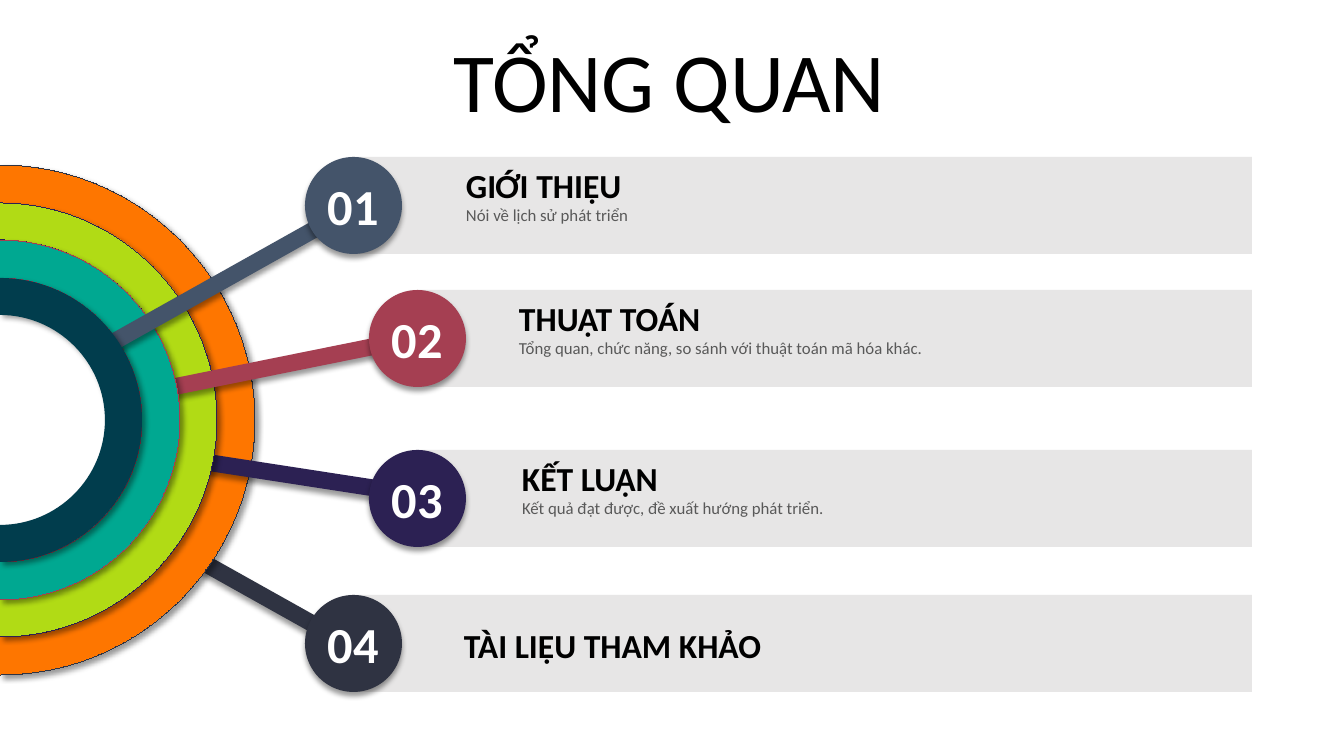
from dataclasses import dataclass
from typing import Optional

from lxml import etree
from pptx import Presentation
from pptx.dml.color import RGBColor
from pptx.enum.shapes import MSO_CONNECTOR, MSO_SHAPE
from pptx.enum.text import MSO_ANCHOR, MSO_AUTO_SIZE, PP_ALIGN
from pptx.oxml.ns import qn
from pptx.util import Emu, Pt

RECT, OVAL = MSO_SHAPE.RECTANGLE, MSO_SHAPE.OVAL
STRAIGHT = MSO_CONNECTOR.STRAIGHT
TOP, MIDDLE, BOTTOM = MSO_ANCHOR.TOP, MSO_ANCHOR.MIDDLE, MSO_ANCHOR.BOTTOM
LEFT, CENTER, JUSTIFY = PP_ALIGN.LEFT, PP_ALIGN.CENTER, PP_ALIGN.JUSTIFY
FIT_NONE, FIT_SHAPE = MSO_AUTO_SIZE.NONE, MSO_AUTO_SIZE.SHAPE_TO_FIT_TEXT

BLACK = RGBColor(0x00, 0x00, 0x00)
WHITE = RGBColor(0xFF, 0xFF, 0xFF)
GRAY_TEXT = RGBColor(0x59, 0x59, 0x59)
GRAY_BAR = RGBColor(0xE7, 0xE6, 0xE6)
SLATE = RGBColor(0x44, 0x54, 0x6A)
ROSE = RGBColor(0xA5, 0x3F, 0x52)
INDIGO = RGBColor(0x2C, 0x21, 0x53)
CHARCOAL = RGBColor(0x2F, 0x33, 0x42)
NAVY = RGBColor(0x01, 0x3D, 0x4D)
TEAL = RGBColor(0x00, 0xA8, 0x91)
LIME = RGBColor(0xB1, 0xDB, 0x15)
ORANGE = RGBColor(0xFE, 0x76, 0x00)

FONT = "Calibri"
SLIDE_W, SLIDE_H = 1344, 756
EMU_PER_PX = 12192000 / SLIDE_W
BAR_H = 97
BAR_RIGHT = 1252
RING_CENTER_Y = 420
ARC_HANDLE = 0.55


@dataclass
class Topic:
    """One agenda entry with its badge, spoke and ring."""
    number: str
    heading: str
    detail: str
    top: int
    bar_x: int
    badge_x: int
    text_x: int
    heading_dy: int
    spoke: tuple[int, int, int, int]
    color: RGBColor
    ring_color: RGBColor
    ring_line: Optional[RGBColor]
    outer: int
    inner: int


TOPICS = [
    Topic("01", "GIỚI THIỆU", "Nói về lịch sử phát triển",
          157, 350, 305, 466, 3, (92, 354, 349, 210), SLATE, NAVY, None, 142, 105),
    Topic("02", "THUẬT TOÁN", "Tổng quan, chức năng, so sánh với thuật toán mã hóa khác.",
          290, 418, 369, 519, 3, (153, 391, 411, 339), ROSE, TEAL, ROSE, 180, 142),
    Topic("03", "KẾT LUẬN", "Kết quả đạt được, đề xuất hướng phát triển.",
          450, 418, 369, 522, 3, (179, 458, 413, 494), INDIGO, LIME, INDIGO, 217, 180),
    Topic("04", "TÀI LIỆU THAM KHẢO", "",
          595, 350, 305, 464, 25, (179, 549, 347, 643), CHARCOAL, ORANGE, CHARCOAL, 255, 217),
]


def px(value: float) -> Emu:
    """Turn pixels into EMU."""
    return Emu(round(value * EMU_PER_PX))


def add_shadow(shape, angle: int) -> None:
    """Give a finished shape or connector a soft outer shadow."""
    effects = etree.SubElement(shape.element.spPr, qn("a:effectLst"))
    shadow = etree.SubElement(effects, qn("a:outerShdw"), blurRad=str(Pt(4)),
                              dist=str(Pt(3)), dir=str(angle * 60000),
                              algn="t", rotWithShape="0")
    color = etree.SubElement(shadow, qn("a:srgbClr"), val=str(BLACK))
    etree.SubElement(color, qn("a:alpha"), val="40000")


def write(tf, text: str, *, size: int, color: RGBColor, bold: bool = False,
          align=LEFT, anchor=TOP, fit=FIT_NONE, inset: int = 0) -> None:
    """Fill a text frame with one formatted paragraph."""
    tf.word_wrap = True
    tf.auto_size = fit
    tf.vertical_anchor = anchor
    tf.margin_left = tf.margin_right = px(inset)
    tf.margin_top = tf.margin_bottom = px(5)
    p = tf.paragraphs[0]
    p.alignment = align
    r = p.add_run()
    r.text = text
    r.font.name = FONT
    r.font.size = Pt(size)
    r.font.bold = bold
    r.font.color.rgb = color


def add_text(s, x: int, y: int, w: int, h: int, text: str, **fmt) -> None:
    """Add a text box."""
    write(s.shapes.add_textbox(px(x), px(y), px(w), px(h)).text_frame, text, **fmt)


def add_bar(s, topic: Topic) -> None:
    """Add the gray bar behind a topic."""
    bar = s.shapes.add_shape(RECT, px(topic.bar_x), px(topic.top),
                             px(BAR_RIGHT - topic.bar_x), px(BAR_H))
    bar.shadow.inherit = False
    bar.fill.solid()
    bar.fill.fore_color.rgb = GRAY_BAR
    bar.line.fill.background()


def add_topic_text(s, topic: Topic) -> None:
    """Add the heading and the detail line of a topic."""
    add_text(s, topic.text_x, topic.top + topic.heading_dy, 659, 50, topic.heading,
             size=24, color=BLACK, bold=True, anchor=BOTTOM, fit=FIT_SHAPE)
    if topic.detail:
        add_text(s, topic.text_x, topic.top + 43, 657, 30, topic.detail,
                 size=12, color=GRAY_TEXT, align=JUSTIFY, fit=FIT_SHAPE)


def add_spoke(s, topic: Topic) -> None:
    """Add the thick line from ring to badge."""
    spoke = s.shapes.add_connector(STRAIGHT, *map(px, topic.spoke))
    spoke.line.color.rgb = topic.color
    spoke.line.width = Pt(12)
    add_shadow(spoke, 90)


def add_badge(s, topic: Topic) -> None:
    """Add the numbered circle."""
    badge = s.shapes.add_shape(OVAL, px(topic.badge_x), px(topic.top), px(BAR_H), px(BAR_H))
    badge.fill.solid()
    badge.fill.fore_color.rgb = topic.color
    badge.line.fill.background()
    add_shadow(badge, 90)
    write(badge.text_frame, topic.number, size=36, color=WHITE, bold=True,
          align=CENTER, anchor=MIDDLE)


def half_circle(radius: int) -> list[tuple[int, int]]:
    """Return the seven Bezier points down a half circle at the left slide edge."""
    k = ARC_HANDLE
    units = [(0, -1), (k, -1), (1, -k), (1, 0), (1, k), (k, 1), (0, 1)]
    return [(px(radius * x), px(RING_CENTER_Y + radius * y)) for x, y in units]


def curve_segments(segments: list) -> None:
    """Merge three consecutive line segments into one cubic curve."""
    curve = etree.Element(qn("a:cubicBezTo"))
    segments[0].addprevious(curve)
    for segment in segments:
        curve.append(segment[0])
        segment.getparent().remove(segment)


def add_ring(s, topic: Topic) -> None:
    """Add the half ring of a topic."""
    points = half_circle(topic.outer) + half_circle(topic.inner)[::-1]
    builder = s.shapes.build_freeform(*points[0])
    builder.add_line_segments(points[1:] + points[:1], close=True)
    ring = builder.convert_to_shape()
    segments = list(ring.element.iter(qn("a:lnTo")))
    for start in (0, 3, 7, 10):
        curve_segments(segments[start:start + 3])
    ring.fill.solid()
    ring.fill.fore_color.rgb = topic.ring_color
    if topic.ring_line:
        ring.line.color.rgb = topic.ring_line
        ring.element.spPr.find(qn("a:ln")).set("w", "0")
    else:
        ring.line.fill.background()
    add_shadow(ring, 45)


prs = Presentation()
prs.slide_width, prs.slide_height = px(SLIDE_W), px(SLIDE_H)
s = prs.slides.add_slide(prs.slide_layouts[5])

for topic in TOPICS:
    add_bar(s, topic)

title = s.shapes.title
title.left, title.top, title.width, title.height = map(px, (90, 54, 1159, 82))
write(title.text_frame, "TỔNG QUAN", size=60, color=BLACK, align=CENTER,
      anchor=BOTTOM, inset=10)
title.text_frame.paragraphs[0].line_spacing = 0.9

for topic in TOPICS:
    add_topic_text(s, topic)

for topic in reversed(TOPICS):
    add_spoke(s, topic)
    add_badge(s, topic)
    add_ring(s, topic)

prs.save("out.pptx")
